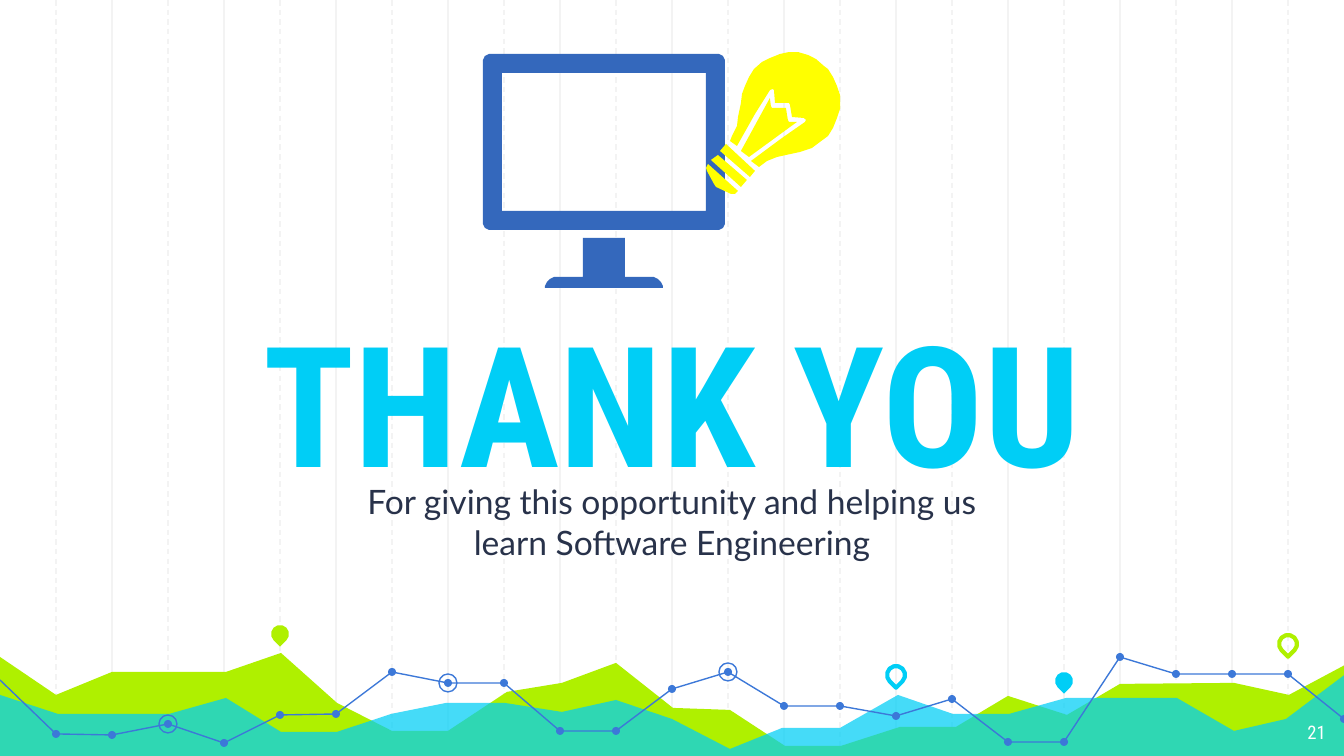
from lxml import etree
from pptx import Presentation
from pptx import util as u
from pptx.dml.color import RGBColor
from pptx.enum import dml, shapes, text
from pptx.oxml import ns

PIXEL = 914400 / 134.4
WIDTH, HEIGHT, STEP = 1344, 756, 56
LIME, CYAN, BLUE = "AFF000", "00CEF6", "3C78D8"
NAVY, YELLOW, WHITE, GRID = "3468BC", "FFFF00", "FFFFFF", "F3F3F3"

GREEN_HILLS = [
    (-3, 655), (56, 695), (112, 672), (226, 672), (281, 653), (337, 703), (392, 731), (448, 731),
    (507, 692), (562, 683), (616, 663), (673, 708), (730, 710), (785, 746), (841, 746), (900, 727),
    (956, 727), (1008, 696), (1067, 715), (1120, 684), (1234, 683), (1289, 695), (1347, 664),
    (1347, 758), (-3, 758)]
BLUE_HILLS = [
    (-3, 694), (58, 714), (169, 714), (226, 698), (281, 732), (337, 732), (391, 714), (446, 703),
    (505, 703), (562, 712), (616, 700), (672, 719), (730, 749), (782, 728), (840, 728), (898, 695),
    (953, 714), (1009, 714), (1066, 698), (1177, 698), (1234, 731), (1286, 719), (1347, 673),
    (1347, 759), (-3, 759)]
TREND = [680, 734, 735, 724, 743, 715, 714, 672, 683, 683, 731, 731, 689, 672, 706, 706, 716,
         699, 742, 742, 657, 674, 674, 674, 719]
RINGED = (3, 8, 13)
PINS = [(280, 634, LIME, True), (896, 675, CYAN, False), (1064, 681, CYAN, True),
        (1288, 644, LIME, False)]
STAND = [(583, 238), (583, 277), (554, 277), (550, 279), (547, 282), (545, 286), (545, 288),
         (663, 288), (663, 286), (661, 282), (658, 279), (654, 277), (625, 277), (625, 238)]
SCREEN = [(706, 73), (706, 211), (502, 211), (502, 73)]
CASE = [(489, 54), (719, 54), (723, 56), (725, 60), (725, 224), (723, 228), (719, 230),
        (489, 230), (485, 228), (483, 224), (483, 60), (485, 56)]
BULB = [
    [(718, 155), (711, 160), (741, 187), (747, 180)],
    [(726, 144), (720, 151), (750, 177), (755, 171)],
    [(708, 164), (706, 168), (707, 171), (714, 184), (716, 187), (731, 194), (735, 194),
     (738, 191)],
    [(786, 108), (772, 108), (771, 106), (770, 98), (741, 151), (749, 157), (797, 122),
     (789, 122), (788, 120)],
    [(824, 66), (816, 59), (808, 55), (798, 52), (789, 52), (780, 54), (770, 58), (762, 62),
     (754, 69), (749, 77), (745, 86), (742, 94), (741, 103), (738, 117), (737, 126), (732, 136),
     (730, 141), (737, 146), (755, 114), (770, 90), (773, 89), (774, 90), (775, 103), (789, 103),
     (790, 105), (792, 117), (804, 118), (806, 120), (805, 122), (782, 138), (751, 161),
     (759, 167), (767, 161), (777, 157), (786, 155), (800, 152), (812, 148), (820, 142),
     (828, 136), (833, 128), (837, 118), (840, 109), (840, 95), (837, 86), (833, 77), (828, 69)],
]


def px(*lengths):
    """Turn pixel lengths into EMU."""
    return [u.Emu(round(length * PIXEL)) for length in lengths]


def rgb(color):
    """Turn a hex string into a colour."""
    return RGBColor.from_string(color)


def paint(shape, fill=None, line=None, weight=0.75, alpha=None):
    """Set fill, outline and opacity of a shape and drop its shadow."""
    shape.shadow.inherit = False
    if fill:
        shape.fill.solid()
        shape.fill.fore_color.rgb = rgb(fill)
    else:
        shape.fill.background()
    if alpha:
        node = shape.fill._xPr.find(".//" + ns.qn("a:srgbClr"))
        etree.SubElement(node, ns.qn("a:alpha"), val=str(alpha * 1000))
    if line:
        shape.line.color.rgb = rgb(line)
        shape.line.width = u.Pt(weight)
    else:
        shape.line.fill.background()


def add_outline(page, *contours, close=True, **style):
    """Draw one freeform from one or more contours."""
    builder = page.shapes.build_freeform(*contours[0][0], scale=PIXEL)
    builder.add_line_segments(contours[0][1:], close=close)
    for contour in contours[1:]:
        builder.move_to(*contour[0])
        builder.add_line_segments(contour[1:], close=close)
    paint(builder.convert_to_shape(), **style)


def add_mark(page, kind, x, y, size, **style):
    """Place a preset shape centred on a point."""
    mark = page.shapes.add_shape(kind, *px(x - size / 2, y - size / 2, size, size))
    paint(mark, **style)
    return mark


def add_text(page, words, left, top, width, height, size, color, font="Roboto Condensed",
             bold=False, align="CENTER", anchor="TOP", before=0):
    """Add a wrapped text box with one formatted paragraph."""
    box = page.shapes.add_textbox(*px(left, top, width, height))
    frame = box.text_frame
    frame.word_wrap = True
    frame.vertical_anchor = text.MSO_ANCHOR[anchor]
    frame.margin_left = frame.margin_right = frame.margin_top = frame.margin_bottom = u.Inches(0.1)
    para = frame.paragraphs[0]
    para.alignment = text.PP_ALIGN[align]
    para.space_before = u.Pt(before)
    span = para.add_run()
    span.text = words
    span.font.name, span.font.size, span.font.bold = font, u.Pt(size), bold
    span.font.color.rgb = rgb(color)


def add_grid(page):
    """Draw alternating dashed and solid vertical grid lines."""
    for index in range(1, WIDTH // STEP):
        x = index * STEP
        line = page.shapes.add_connector(shapes.MSO_CONNECTOR.STRAIGHT, *px(x, 0, x, HEIGHT))
        line.line.color.rgb = rgb(GRID)
        line.line.width = u.Pt(0.75)
        if index % 2:
            line.line.dash_style = dml.MSO_LINE.DASH
        etree.SubElement(line._element.spPr, ns.qn("a:effectLst"))


def add_landscape(page):
    """Draw the hills, the pins and the trend line with its dots."""
    add_outline(page, GREEN_HILLS, fill=LIME)
    add_outline(page, BLUE_HILLS, fill=CYAN, alpha=73)
    for x, y, color, solid in PINS:
        style = {"fill": color} if solid else {"line": color, "weight": 2.25}
        pin = add_mark(page, shapes.MSO_SHAPE.TEAR, x, y, 18, **style)
        pin.rotation = 135
    points = [(index * STEP, y) for index, y in enumerate(TREND)]
    add_outline(page, points, close=False, line=BLUE)
    for point in points[1:]:
        add_mark(page, shapes.MSO_SHAPE.OVAL, *point, 8, fill=BLUE)
    for index in RINGED:
        add_mark(page, shapes.MSO_SHAPE.OVAL, *points[index], 18, line=BLUE)


def add_computer(page):
    """Draw the monitor and the light bulb."""
    add_outline(page, STAND, fill=NAVY)
    add_outline(page, SCREEN, CASE[::-1], fill=NAVY)
    for part in BULB:
        add_outline(page, part, fill=YELLOW)


def main():
    """Build the closing slide."""
    deck = Presentation()
    deck.slide_width, deck.slide_height = px(WIDTH, HEIGHT)
    page = deck.slides.add_slide(deck.slide_layouts[6])
    page.background.fill.solid()
    page.background.fill.fore_color.rgb = rgb(WHITE)
    add_grid(page)
    add_landscape(page)
    add_text(page, "THANK YOU", 101, 344, 1142, 171, 90, CYAN, bold=True, anchor="BOTTOM")
    add_text(page, "For giving this opportunity and helping us learn Software Engineering",
             319, 468, 706, 116, 18, "28324A", font="Lato", before=6)
    add_text(page, "21", 1258, 710, 81, 47, 10, WHITE, align="RIGHT")
    add_computer(page)
    deck.save("out.pptx")


main()
